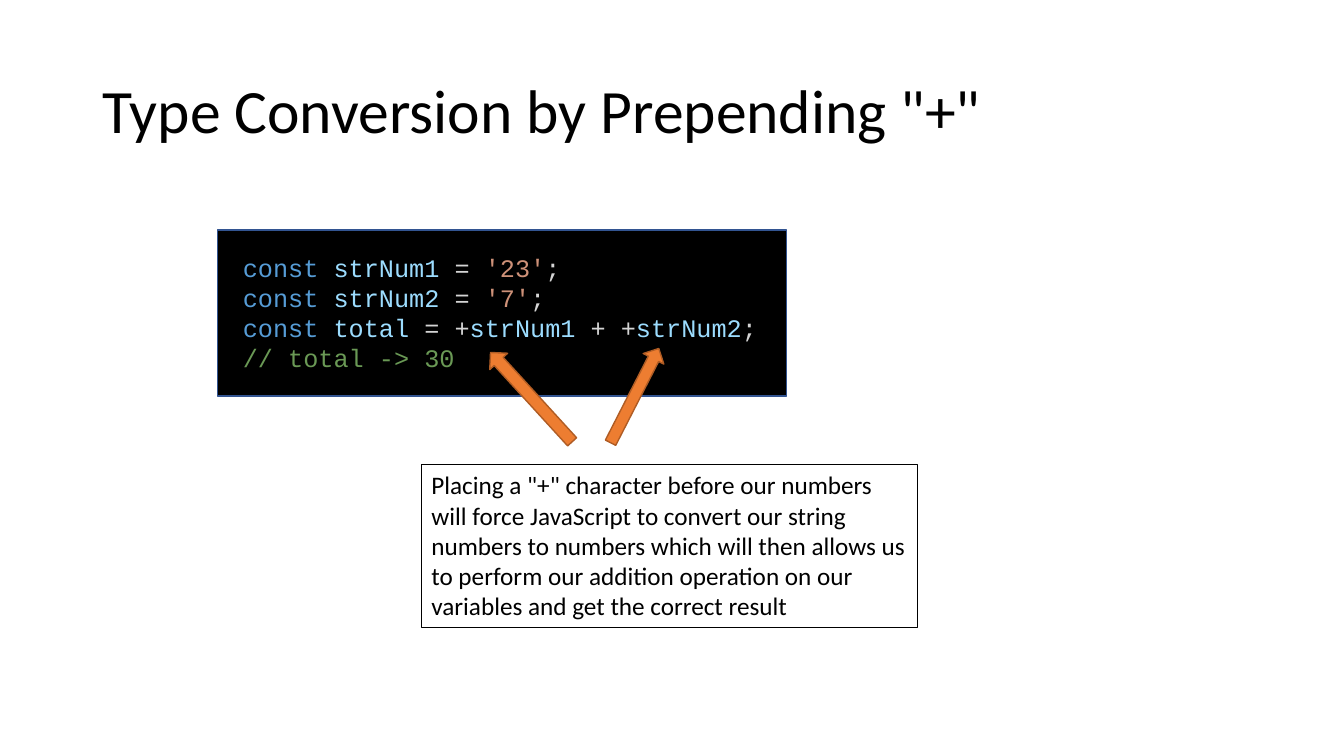
import pptx
import pptx.dml.color
import pptx.enum.shapes
import pptx.enum.text
import pptx.util

Inches = pptx.util.Inches
SHAPES = pptx.enum.shapes.MSO_SHAPE
ANCHOR = pptx.enum.text.MSO_ANCHOR

BLACK = "000000"
SYNTAX = {
    "keyword": "569CD6",
    "variable": "9CDCFE",
    "operator": "D4D4D4",
    "string": "CE9178",
    "comment": "6A9955",
}


def color(hex_value):
    """Turn a hex string into a colour."""
    return pptx.dml.color.RGBColor.from_string(hex_value)


def apply_format(target, values):
    """Set every attribute named in a dict of format values."""
    for name, value in values.items():
        setattr(target, name, value)


def add_box(slide, kind, bounds, fill, line, line_width, rotation=0):
    """Add an outlined preset shape, filled unless fill is None."""
    shape = slide.shapes.add_shape(kind, *map(Inches, bounds))
    shape.shadow.inherit = False
    shape.rotation = rotation
    if fill is None:
        shape.fill.background()
    else:
        shape.fill.solid()
        shape.fill.fore_color.rgb = color(fill)
    shape.line.color.rgb = color(line)
    shape.line.width = pptx.util.Pt(line_width)
    return shape


def add_textbox(slide, bounds):
    """Add an empty text box."""
    return slide.shapes.add_textbox(*map(Inches, bounds))


def write(shape, lines, font, size, anchor=ANCHOR.TOP, spacing=1.0):
    """Write lines, each a list of (text, colour) runs, into a shape."""
    frame = shape.text_frame
    apply_format(frame, {"word_wrap": True, "vertical_anchor": anchor})
    for index, runs in enumerate(lines):
        paragraph = frame.paragraphs[0] if index == 0 else frame.add_paragraph()
        apply_format(paragraph, {
            "alignment": pptx.enum.text.PP_ALIGN.LEFT,
            "line_spacing": spacing,
        })
        for text, hex_value in runs:
            run = paragraph.add_run()
            run.text = text
            apply_format(run.font, {"name": font, "size": pptx.util.Pt(size)})
            run.font.color.rgb = color(hex_value)


def declaration(name, *value):
    """Return the coloured runs of one const declaration."""
    tokens = [("const ", "keyword"), (name, "variable"), *value, (";", "operator")]
    return [(text, SYNTAX[role]) for text, role in tokens]


def add_code(slide):
    """Add the code listing."""
    equals = (" = ", "operator")
    lines = [
        declaration("strNum1", equals, ("'23'", "string")),
        declaration("strNum2", equals, ("'7'", "string")),
        declaration("total", (" = +", "operator"), ("strNum1", "variable"),
                    (" + +", "operator"), ("strNum2", "variable")),
        [("// total -> 30", SYNTAX["comment"])],
    ]
    write(add_textbox(slide, (2.31, 2.45, 6.67, 1.31)), lines, "Courier New", 18)


def add_arrow(slide, bounds, rotation):
    """Add an orange block arrow pointing at a plus sign."""
    add_box(slide, SHAPES.UP_ARROW, bounds, "ED7D31", "AF5C24", 1, rotation)


def main():
    """Build and save the slide."""
    presentation = pptx.Presentation()
    apply_format(presentation, {"slide_width": Inches(13.33),
                                "slide_height": Inches(7.5)})
    slide = presentation.slides.add_slide(presentation.slide_layouts[6])

    add_box(slide, SHAPES.RECTANGLE, (2.16, 2.28, 5.64, 1.65), BLACK, "325491", 1)
    title = add_textbox(slide, (0.92, 0.4, 11.5, 1.45))
    write(title, [[('Type Conversion by Prepending "+"', BLACK)]],
          "Calibri", 44, ANCHOR.MIDDLE, 0.9)

    add_arrow(slide, (5.15, 3.34, 0.24, 1.2), 317.6)
    note = add_box(slide, SHAPES.RECTANGLE, (4.18, 4.61, 4.92, 1.62),
                   None, BLACK, 0.75)
    explanation = (
        'Placing a "+" character before our numbers \v'
        "will force JavaScript to convert our string numbers to numbers "
        "which will then allows us to perform our addition operation on our "
        "variables and get the correct result"
    )
    write(note, [[(explanation.replace("\v", ""), BLACK)]], "Calibri", 18)
    add_arrow(slide, (6.18, 3.4, 0.23, 1.05), 27.1)
    add_code(slide)

    presentation.save("out.pptx")


main()
